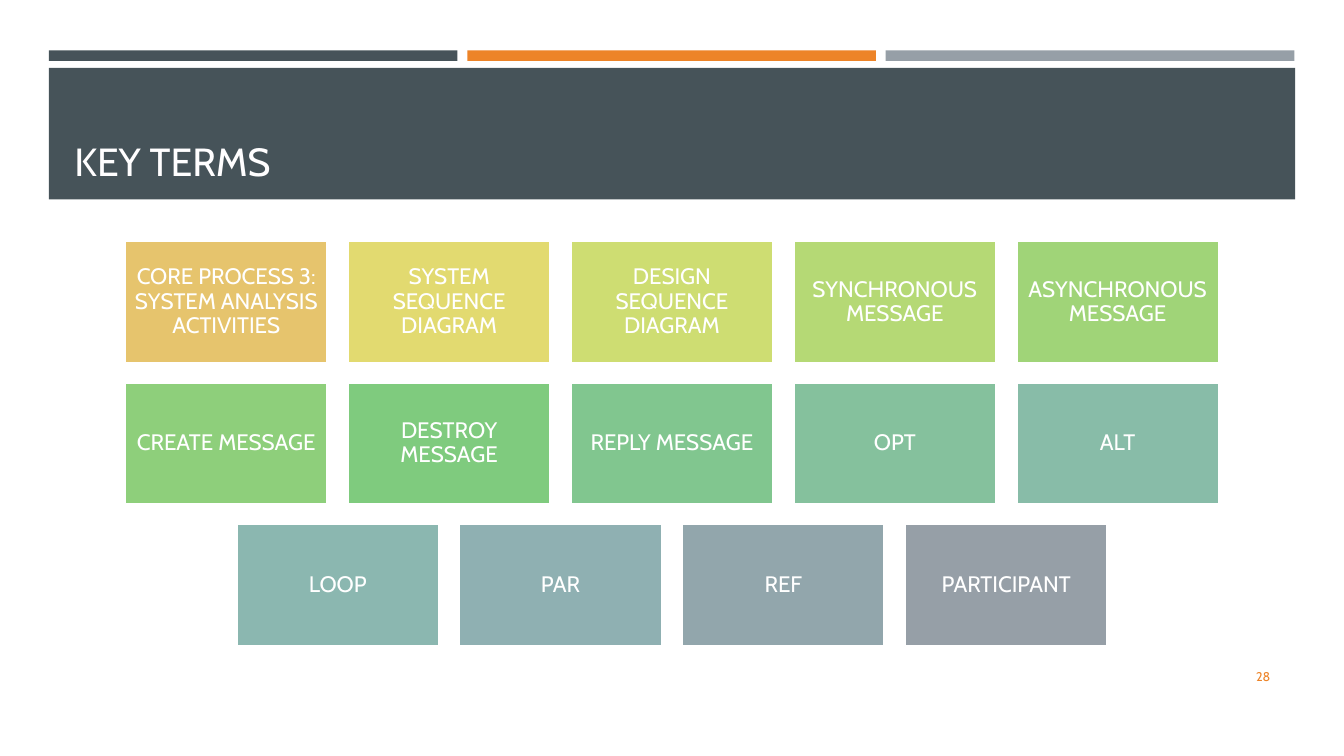
from pptx import Presentation
from pptx.dml.color import RGBColor
from pptx.enum.shapes import MSO_SHAPE
from pptx.enum.text import MSO_ANCHOR, PP_ALIGN
from pptx.util import Inches, Pt

COLORS = {
    "slate": "465359", "orange": "ED8428", "gray": "969FA7",
    "title": "FFFEFF", "white": "FFFFFF",
}
TERM_ROWS = [
    [("CORE PROCESS 3: SYSTEM ANALYSIS ACTIVITIES", "E6C46D"),
     ("SYSTEM SEQUENCE DIAGRAM", "E2DA70"),
     ("DESIGN SEQUENCE DIAGRAM", "CEDD72"),
     ("SYNCHRONOUS MESSAGE", "B5D975"),
     ("ASYNCHRONOUS MESSAGE", "A0D478")],
    [("CREATE MESSAGE", "8ECF7B"), ("DESTROY MESSAGE", "7FCB7E"),
     ("REPLY MESSAGE", "81C68F"), ("OPT", "85C19D"), ("ALT", "88BCA8")],
    [("LOOP", "8BB7B0"), ("PAR", "8FB0B2"),
     ("REF", "92A6AC"), ("PARTICIPANT", COLORS["gray"])],
]

# Shares of the slide's width and height, in percent
MARGIN, BAR_WIDTH, BAR_STEP = 3.64, 30.4, 31.13
CARD_WIDTH, CARD_HEIGHT = 15.08, 16.13
COLUMN_STEP, ROW_STEP, FIRST_ROW = 16.58, 18.73, 31.87


def write(shape, text, size, color, align=PP_ALIGN.LEFT, anchor=MSO_ANCHOR.MIDDLE,
          font="Cabin", spacing=1.0, after=0, inset=None):
    frame = shape.text_frame
    frame.word_wrap = True
    frame.vertical_anchor = anchor
    if inset is not None:
        frame.margin_left = frame.margin_right = Inches(inset)
        frame.margin_top = frame.margin_bottom = Inches(inset)
    para = frame.paragraphs[0]
    para.alignment = align
    para.line_spacing = spacing
    para.space_after = Pt(after)
    span = para.add_run()
    span.text = text
    span.font.name = font
    span.font.size = Pt(size)
    span.font.color.rgb = RGBColor.from_string(color)


class TermSlide:
    def __init__(self, deck):
        self.deck = deck
        self.page = deck.slides.add_slide(deck.slide_layouts[6])

    def area(self, left, top, width, height):
        """Turn percentages of the slide into lengths."""
        across, down = self.deck.slide_width / 100, self.deck.slide_height / 100
        return (round(left * across), round(top * down),
                round(width * across), round(height * down))

    def block(self, area, fill, outline=None):
        box = self.page.shapes.add_shape(MSO_SHAPE.RECTANGLE, *self.area(*area))
        box.shadow.inherit = False
        box.fill.solid()
        box.fill.fore_color.rgb = RGBColor.from_string(fill)
        if outline:
            box.line.color.rgb = RGBColor.from_string(outline)
            box.line.width = Pt(1.75)
        else:
            box.line.fill.background()
        return box

    def label(self, area, text, **style):
        write(self.page.shapes.add_textbox(*self.area(*area)), text, **style)

    def card(self, left, top, text, fill):
        box = self.block((left, top, CARD_WIDTH, CARD_HEIGHT), fill, COLORS["white"])
        write(box, text, size=16, color=COLORS["white"], align=PP_ALIGN.CENTER,
              spacing=0.9, inset=0.07)

    def card_row(self, row, terms):
        """Centre one row of cards on the slide."""
        left = 50 - ((len(terms) - 1) * COLUMN_STEP + CARD_WIDTH) / 2
        for column, (text, fill) in enumerate(terms):
            self.card(left + column * COLUMN_STEP, FIRST_ROW + row * ROW_STEP, text, fill)


def main():
    deck = Presentation()
    deck.slide_width, deck.slide_height = Inches(13.33), Inches(7.5)
    slide = TermSlide(deck)

    for index, name in enumerate(("slate", "orange", "gray")):
        slide.block((MARGIN + index * BAR_STEP, 6.67, BAR_WIDTH, 1.4), COLORS[name])
    slide.block((MARGIN, 8.98, 100 - 2 * MARGIN, 17.4), COLORS["slate"])
    slide.label((4.8, 10.27, 90.45, 14.8), "KEY TERMS", size=28,
                color=COLORS["title"], anchor=MSO_ANCHOR.BOTTOM)

    for row, terms in enumerate(TERM_ROWS):
        slide.card_row(row, terms)

    slide.label((86.63, 86.8, 8.63, 5.33), "28", size=9, color=COLORS["orange"],
                align=PP_ALIGN.RIGHT, after=6)
    deck.save("out.pptx")


if __name__ == "__main__":
    main()
